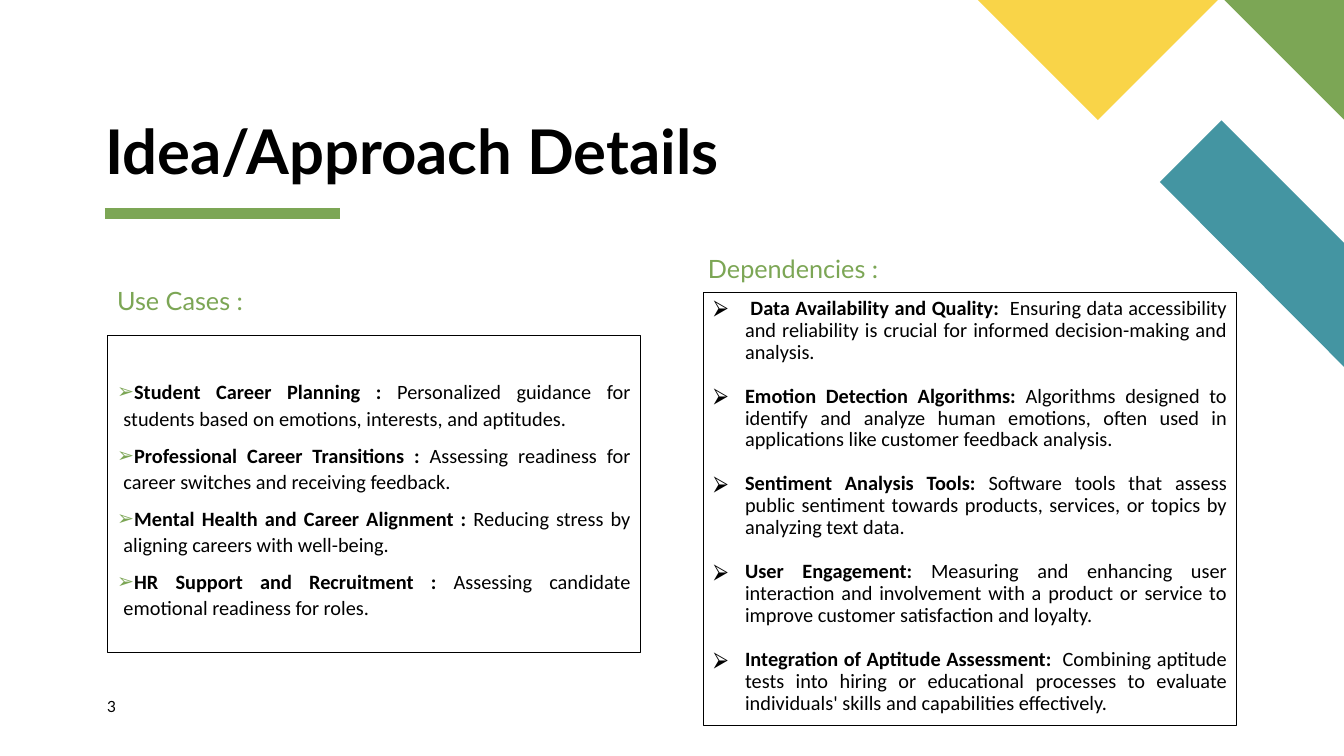
from lxml.etree import SubElement
from pptx import Presentation
from pptx.dml.color import RGBColor
from pptx.enum.shapes import MSO_CONNECTOR
from pptx.enum.text import MSO_ANCHOR, MSO_AUTO_SIZE, PP_ALIGN
from pptx.oxml.ns import qn
from pptx.util import Pt

GREEN, TEAL, YELLOW, BLACK = "7CA655", "4495A2", "F9D448", "000000"

USE_CASES = [
    ("Student Career Planning : ",
     "Personalized guidance for students based on emotions, interests, and aptitudes."),
    ("Professional Career Transitions : ",
     "Assessing readiness for career switches and receiving feedback."),
    ("Mental Health and Career Alignment :",
     " Reducing stress by aligning careers with well-being."),
    ("HR Support and Recruitment : ",
     "Assessing candidate emotional readiness for roles."),
]
DEPENDENCIES = [
    (" Data Availability and Quality:",
     "  Ensuring data accessibility and reliability is crucial for informed "
     "decision-making and analysis."),
    ("Emotion Detection Algorithms: ",
     "Algorithms designed to identify and analyze human emotions, often used in "
     "applications like customer feedback analysis."),
    ("Sentiment Analysis Tools:",
     " Software tools that assess public sentiment towards products, services, "
     "or topics by analyzing text data."),
    ("User Engagement: ",
     "Measuring and enhancing user interaction and involvement with a product or "
     "service to improve customer satisfaction and loyalty."),
    ("Integration of Aptitude Assessment: ",
     " Combining aptitude tests into hiring or educational processes to evaluate "
     "individuals' skills and capabilities effectively."),
]


def rgb(color):
    return RGBColor.from_string(color)


def add_run(p, text, size=14.5, font="Calibri", color=BLACK, bold=False):
    r = p.add_run()
    r.text = text
    r.font.size, r.font.name, r.font.bold = Pt(size), font, bold
    r.font.color.rgb = rgb(color)


def place(sp, left, top, width, height, insets=(7.2, 3.6, 7.2, 3.6), anchor=MSO_ANCHOR.TOP):
    """Set the position and frame of a shape, and return its text frame."""
    sp.left, sp.top, sp.width, sp.height = Pt(left), Pt(top), Pt(width), Pt(height)
    tf = sp.text_frame
    tf.word_wrap, tf.auto_size = True, MSO_AUTO_SIZE.NONE
    tf.vertical_anchor = anchor
    tf.margin_left, tf.margin_top, tf.margin_right, tf.margin_bottom = map(Pt, insets)
    return tf


def add_text(tf, text, spacing=0.9, **fmt):
    p = tf.paragraphs[0]
    p.alignment, p.line_spacing, p.space_before = PP_ALIGN.LEFT, spacing, Pt(0)
    add_run(p, text, **fmt)


def set_bullet(p, char, color, margin, indent):
    pPr = p._p.get_or_add_pPr()
    pPr.set("marL", str(Pt(margin)))
    pPr.set("indent", str(Pt(indent)))
    clr = SubElement(pPr, qn("a:buClr"))
    SubElement(clr, qn("a:srgbClr"), val=color)
    SubElement(pPr, qn("a:buChar"), char=char)


def add_list(sp, tf, items, char, color, margin, spacing, after):
    """Fill an outlined box with bulleted items, each led by a bold term."""
    sp.line.color.rgb, sp.line.width = rgb(BLACK), Pt(0.75)
    for i, (term, detail) in enumerate(items):
        p = tf.add_paragraph() if i else tf.paragraphs[0]
        p.alignment, p.line_spacing = PP_ALIGN.JUSTIFY, spacing
        p.space_before, p.space_after = Pt(0), Pt(after)
        set_bullet(p, char, color, margin, -22.5)
        add_run(p, term, bold=True)
        add_run(p, detail)


def add_polygon(s, points, color):
    points = [(Pt(x), Pt(y)) for x, y in points]
    builder = s.shapes.build_freeform(*points[0])
    builder.add_line_segments(points[1:], close=True)
    sp = builder.convert_to_shape()
    sp.shadow.inherit = False
    sp.fill.solid()
    sp.fill.fore_color.rgb = rgb(color)
    sp.line.fill.background()


def add_rule(s, x1, x2, y, color, width):
    line = s.shapes.add_connector(MSO_CONNECTOR.STRAIGHT, Pt(x1), Pt(y), Pt(x2), Pt(y))
    line.line.color.rgb, line.line.width = rgb(color), Pt(width)
    SubElement(line._element.spPr, qn("a:effectLst"))


def main():
    prs = Presentation()
    prs.slide_width, prs.slide_height = Pt(960), Pt(540)
    s = prs.slides.add_slide(prs.slide_layouts.get_by_name("Comparison"))
    title, cases_head, cases, deps_head, deps = s.placeholders

    # Corner decoration and title rule
    add_polygon(s, [(960, 262), (960, 173.5), (872.5, 86), (828.5, 130)], TEAL)
    add_polygon(s, [(960, 85.5), (960, 0), (874.5, 0)], GREEN)
    add_polygon(s, [(698.5, 0), (784.25, 85.75), (870, 0)], YELLOW)
    add_rule(s, 75, 243, 152.75, GREEN, 8)

    # Title
    tf = place(title, 75, 86.5, 455, 48, (0, 0, 0, 0), MSO_ANCHOR.BOTTOM)
    add_text(tf, "Idea/Approach Details", size=44, font="Lato", bold=True)

    # Column headings
    for sp, text, left, top in [(cases_head, "Use Cases :", 76.5, 202.5),
                                (deps_head, "Dependencies :", 498.5, 180)]:
        tf = place(sp, left, top, 381, 25)
        add_text(tf, text, size=18, font="Lato", color=GREEN)

    # Bulleted boxes
    tf = place(cases, 76.5, 239.5, 381, 226.5, (7.2, 30.5, 7.2, 3.6))
    add_list(cases, tf, USE_CASES, "➢", GREEN, margin=4.5, spacing=1.07, after=8)
    tf = place(deps, 502.5, 209, 381, 309)
    add_list(deps, tf, DEPENDENCIES, "⮚", BLACK, margin=22.5, spacing=0.9, after=15.75)

    # Slide number
    number = s.shapes.add_textbox(0, 0, 0, 0)
    tf = place(number, 76.5, 498, 41, 19.5, (0, 0, 0, 0))
    add_text(tf, "3", spacing=1.0, size=11, font="Lato")

    prs.save("out.pptx")


if __name__ == "__main__":
    main()
